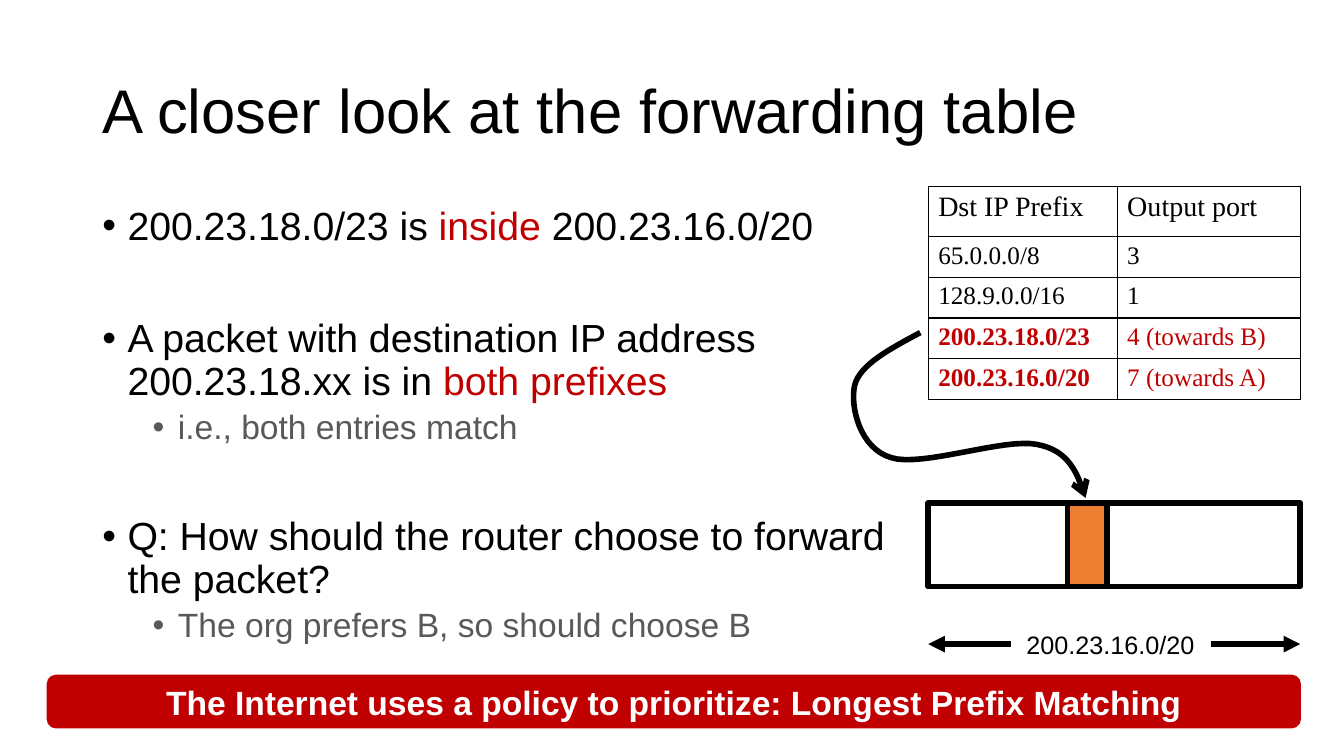
import pptx
import pptx.util
import pptx.dml.color
import pptx.enum.shapes
import pptx.enum.text
import pptx.oxml
import pptx.oxml.ns
from lxml import etree

RGBColor = pptx.dml.color.RGBColor
BLACK = RGBColor(0x00, 0x00, 0x00)
WHITE = RGBColor(0xFF, 0xFF, 0xFF)
RED = RGBColor(0xC0, 0x00, 0x00)
GRAY = RGBColor(0x59, 0x59, 0x59)
ORANGE = RGBColor(0xED, 0x7D, 0x31)

COLUMNS, ROWS = 160, 90
UNIT = pptx.util.Inches(7.5) / ROWS
SANS, SERIF = "Arial", "Times New Roman"
ALIGN = pptx.enum.text.PP_ALIGN
ANCHOR = pptx.enum.text.MSO_ANCHOR
SHAPE = pptx.enum.shapes.MSO_SHAPE

DIAGRAM_LEFT, DIAGRAM_WIDTH = 110.5, 44.3
DIAGRAM_RIGHT = DIAGRAM_LEFT + DIAGRAM_WIDTH
RANGE_TOP, RANGE_HEIGHT = 59.88, 9.96
ARROW_ROW = 76.68
LINE_WIDTH = 4

BULLETS = [
    (0, 0, [("200.23.18.0/23 is ", BLACK), ("inside ", RED), ("200.23.16.0/20", BLACK)]),
    (0, 50, [("A packet with destination IP address 200.23.18.xx is in ", BLACK),
             ("both prefixes", RED)]),
    (1, 5, [("i.e., both entries match", GRAY)]),
    (0, 50, [("Q: How should the router choose to forward the packet?", BLACK)]),
    (1, 5, [("The org prefers B, so should choose B", GRAY)]),
]
FORWARDING_TABLE = [
    ("Dst IP Prefix", "Output port"),
    ("65.0.0.0/8", "3"),
    ("128.9.0.0/16", "1"),
    ("200.23.18.0/23", "4 (towards B)"),
    ("200.23.16.0/20", "7 (towards A)"),
]
POINTER_START = (109.56, 39.6)
POINTER_CURVES = [
    ((105.96, 41.52), (102.36, 43.44), (101.76, 45.84)),
    ((101.16, 48.36), (102.36, 53.4), (106.08, 54.48)),
    ((109.68, 55.68), (119.64, 52.08), (123.48, 52.92)),
    ((127.32, 53.64), (128.28, 56.4), (129.24, 59.28)),
]


def grid(*lengths):
    return [round(length * UNIT) for length in lengths]


def add_run(paragraph, text, size, color, font=SANS, bold=False):
    run = paragraph.add_run()
    run.text = text
    run.font.name = font
    run.font.size = pptx.util.Pt(size)
    run.font.bold = bold
    run.font.color.rgb = color


def add_text_box(slide, left, top, width, height, anchor=ANCHOR.TOP):
    frame = slide.shapes.add_textbox(*grid(left, top, width, height)).text_frame
    frame.word_wrap = True
    frame.vertical_anchor = anchor
    return frame


def add_bullet(paragraph, level, space_before, runs):
    paragraph.level = level
    paragraph.line_spacing = 0.9
    paragraph.space_before = pptx.util.Pt(space_before)
    properties = paragraph._p.get_or_add_pPr()
    properties.set("marL", str(pptx.util.Inches(0.25 + 0.5 * level)))
    properties.set("indent", str(pptx.util.Inches(-0.25)))
    for tag, name, value in (("a:buFont", "typeface", SANS), ("a:buChar", "char", "•")):
        etree.SubElement(properties, pptx.oxml.ns.qn(tag)).set(name, value)
    for text, color in runs:
        add_run(paragraph, text, 24 if level else 28, color)


def add_box(slide, kind, left, top, width, height, fill, line, line_width):
    shape = slide.shapes.add_shape(kind, *grid(left, top, width, height))
    shape.shadow.inherit = False
    if fill is None:
        shape.fill.background()
    else:
        shape.fill.solid()
        shape.fill.fore_color.rgb = fill
    shape.line.color.rgb = line
    shape.line.width = pptx.util.Pt(line_width)
    return shape


def style_arrow(shape, head):
    shape.line.color.rgb = BLACK
    shape.line.width = pptx.util.Pt(LINE_WIDTH)
    line = shape.line._get_or_add_ln()
    etree.SubElement(line, pptx.oxml.ns.qn("a:tailEnd")).set("type", head)


def add_arrow(slide, start, end, row):
    arrow = slide.shapes.add_connector(
        pptx.enum.shapes.MSO_CONNECTOR.STRAIGHT, *grid(start, row, end, row))
    style_arrow(arrow, "triangle")
    etree.SubElement(arrow._element.spPr, pptx.oxml.ns.qn("a:effectLst"))


def bezier(start, first, second, end, steps=16):
    for step in range(1, steps + 1):
        t = step / steps
        yield grid(*((1 - t) ** 3 * a + 3 * (1 - t) ** 2 * t * b
                     + 3 * (1 - t) * t ** 2 * c + t ** 3 * d
                     for a, b, c, d in zip(start, first, second, end)))


def add_curved_arrow(slide, start, curves):
    builder = slide.shapes.build_freeform(*grid(*start))
    points = []
    for first, second, end in curves:
        points.extend(bezier(start, first, second, end))
        start = end
    builder.add_line_segments(points, close=False)
    shape = builder.convert_to_shape()
    shape.shadow.inherit = False
    shape.fill.background()
    style_arrow(shape, "arrow")


def style_cell(cell, text, size, color, bold):
    properties = cell._tc.get_or_add_tcPr()
    for side in ("lnL", "lnR", "lnT", "lnB"):
        properties.append(pptx.oxml.parse_xml(
            f'<a:{side} {pptx.oxml.ns.nsdecls("a")} w="12700"><a:solidFill>'
            f'<a:srgbClr val="{BLACK}"/></a:solidFill></a:{side}>'))
    cell.fill.solid()
    cell.fill.fore_color.rgb = WHITE
    add_run(cell.text_frame.paragraphs[0], text, size, color, SERIF, bold)


def add_forwarding_table(slide, left, top, widths, heights):
    table = slide.shapes.add_table(
        len(heights), len(widths), *grid(left, top, sum(widths), sum(heights))).table
    for column, width in zip(table.columns, grid(*widths)):
        column.width = width
    for row, height in zip(table.rows, grid(*heights)):
        row.height = height
    for row_index, entry in enumerate(FORWARDING_TABLE):
        matches = row_index >= 3
        for column_index, text in enumerate(entry):
            style_cell(table.cell(row_index, column_index), text,
                       18 if row_index else 20, RED if matches else BLACK,
                       matches and column_index == 0)


def main():
    presentation = pptx.Presentation()
    presentation.slide_width, presentation.slide_height = grid(COLUMNS, ROWS)
    slide = presentation.slides.add_slide(presentation.slide_layouts[6])

    title = add_text_box(slide, 11, 4.8, 138, 17.4, ANCHOR.MIDDLE).paragraphs[0]
    title.line_spacing = 0.9
    add_run(title, "A closer look at the forwarding table", 44, BLACK)

    body = add_text_box(slide, 11, 24, 96.6, 57.12)
    for index, bullet in enumerate(BULLETS):
        add_bullet(body.add_paragraph() if index else body.paragraphs[0], *bullet)

    add_forwarding_table(slide, DIAGRAM_LEFT, 22.2, [22.5, 21.8], [6] + [4.83] * 4)

    for left, width, fill in ((DIAGRAM_LEFT, DIAGRAM_WIDTH, None), (127.08, 4.68, ORANGE)):
        add_box(slide, SHAPE.RECTANGLE, left, RANGE_TOP, width, RANGE_HEIGHT,
                fill, BLACK, LINE_WIDTH)
    add_curved_arrow(slide, POINTER_START, POINTER_CURVES)

    label = add_text_box(slide, 121, 74.28, 22.44, 4.8)
    add_run(label.paragraphs[0], "200.23.16.0/20", 18, BLACK)
    add_arrow(slide, 144.12, DIAGRAM_RIGHT, ARROW_ROW)
    add_arrow(slide, 120.36, DIAGRAM_LEFT, ARROW_ROW)

    banner = add_box(slide, SHAPE.ROUNDED_RECTANGLE, 5.64, 80.4, 149.16, 6.24, RED, RED, 1)
    banner.text_frame.word_wrap = True
    banner.text_frame.vertical_anchor = ANCHOR.MIDDLE
    policy = banner.text_frame.paragraphs[0]
    policy.alignment = ALIGN.CENTER
    add_run(policy, "The Internet uses a policy to prioritize: Longest Prefix Matching",
            24, WHITE, bold=True)

    presentation.save("out.pptx")


if __name__ == "__main__":
    main()
